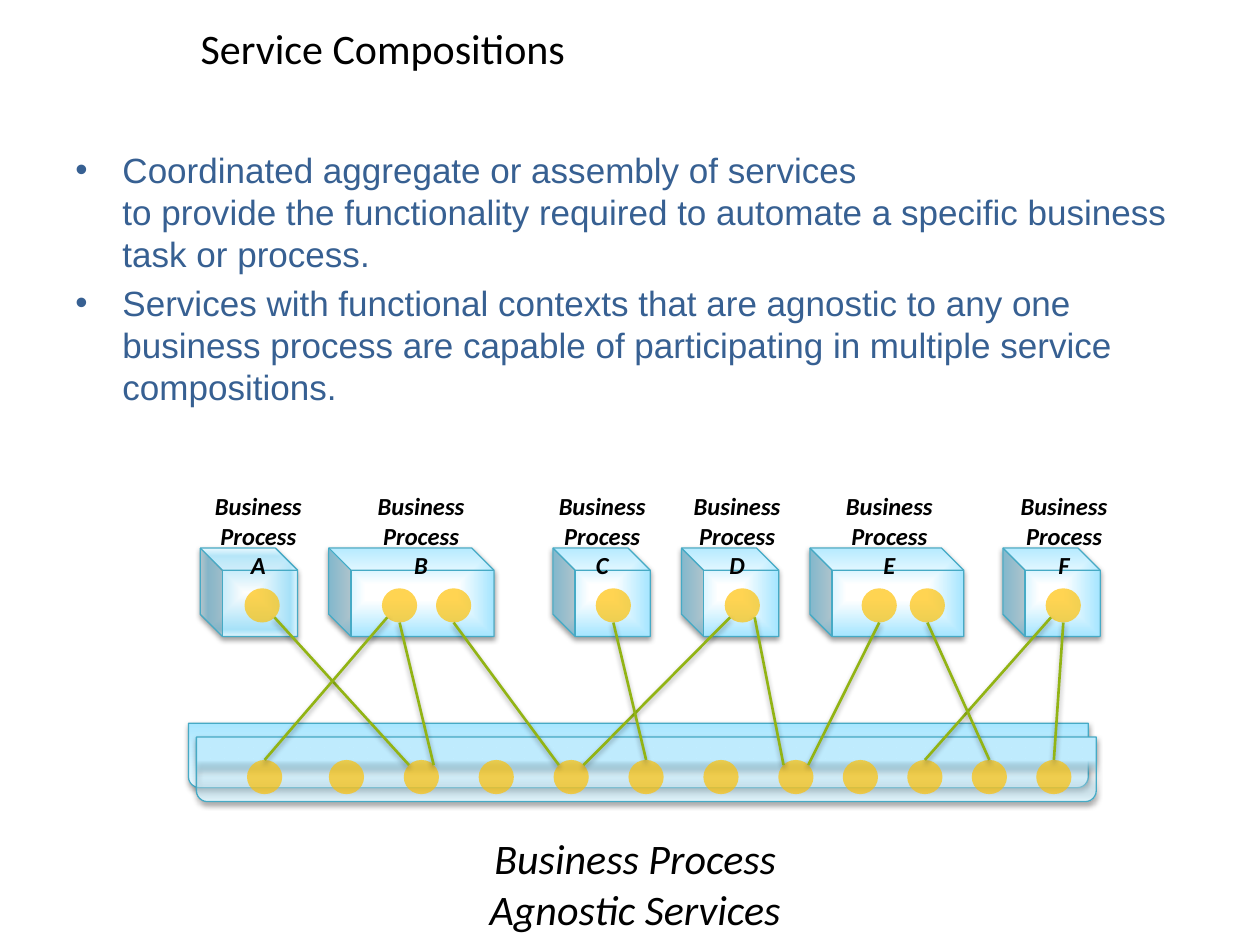
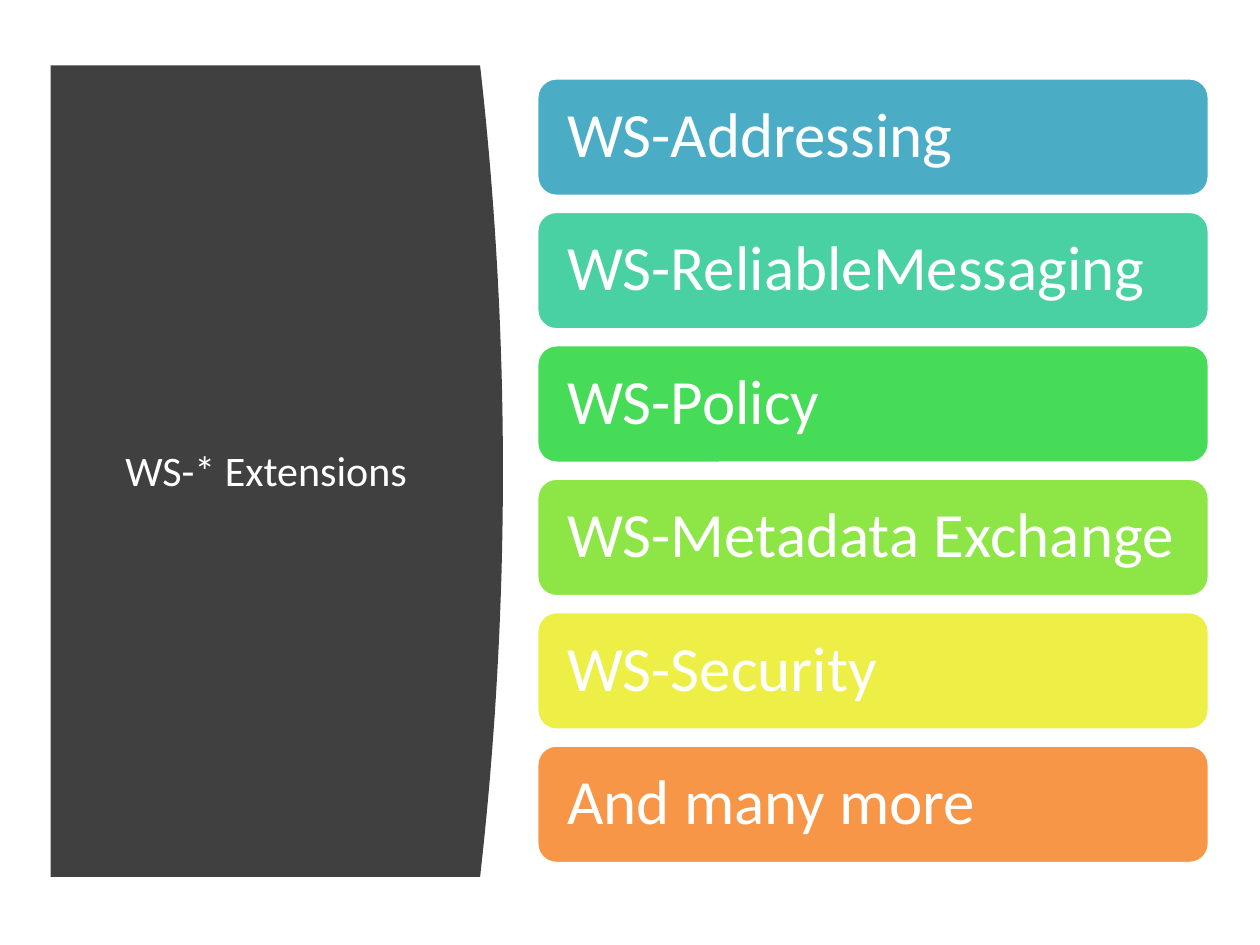
from lxml import etree
from pptx import Presentation
from pptx.dml.color import RGBColor
from pptx.enum.shapes import MSO_CONNECTOR, MSO_SHAPE
from pptx.enum.text import MSO_ANCHOR, PP_ALIGN
from pptx.oxml.ns import qn
from pptx.util import Cm, Pt

CUBE = MSO_SHAPE.CUBE
OVAL = MSO_SHAPE.OVAL
BAND = MSO_SHAPE.ROUND_2_SAME_RECTANGLE
CARD = MSO_SHAPE.ROUNDED_RECTANGLE
STRAIGHT = MSO_CONNECTOR.STRAIGHT
CENTER, LEFT = PP_ALIGN.CENTER, PP_ALIGN.LEFT
TOP, MIDDLE = MSO_ANCHOR.TOP, MSO_ANCHOR.MIDDLE

BLACK, WHITE, NAVY, DARK = "000000", "FFFFFF", "376092", "404040"
EDGE, GOLD, GREEN = "46AAC5", "FFC000", "92B414"

# Gradient stops: position %, colour, opacity %
CUBE_STOPS = [(17, WHITE, 100), (98, "A7E6FF", 100), (100, "E7F8FF", 100)]
CUBE_A_STOPS = [(0, WHITE, 100), (83, "A7E6FF", 94), (100, "E7F8FF", 100)]
BACK_STOPS = [(0, "A7E6FF", 100), (35, "C1EDFF", 100), (100, "E7F8FF", 100)]
FRONT_STOPS = [(35, "C1EDFF", 100), (56, "A7E6FF", 0), (100, "E7F8FF", 100)]

BULLETS = [
    "Coordinated aggregate or assembly of services\nto provide the functionality "
    "required to automate a specific business task or process.",
    "Services with functional contexts that are agnostic to any one business "
    "process are capable of participating in multiple service compositions.",
]

# Name, cube left, cube width, label centre, lefts of its dots
PROCESSES = [
    ("A", 0.24, 1.96, 1.41, [1.13]),
    ("B", 2.83, 3.33, 4.69, [3.9, 4.99]),
    ("C", 7.35, 1.96, 8.34, [8.21]),
    ("D", 9.94, 1.96, 11.06, [10.81]),
    ("E", 12.53, 3.1, 14.13, [13.57, 14.54]),
    ("F", 16.42, 1.96, 17.65, [17.28]),
]
SERVICE_LEFTS = ([1.18] + [2.83 + 1.51 * i for i in range(7)]
                 + [13.19 + 1.3 * i for i in range(4)])
DOT_W, DOT_H = 0.71, 0.69
PROCESS_DOT_TOP, SERVICE_DOT_TOP = 2.08, 5.54

# Process dot, side of it, service dot, side of it
LINKS = [
    ("A0", "right", 2, "left"), ("B0", "mid", 2, "right"),
    ("E0", "mid", 7, "right"), ("B1", "mid", 4, "left"),
    ("D0", "left", 4, "right"), ("D0", "right", 7, "left"),
    ("B0", "left", 0, "mid"), ("C0", "mid", 5, "mid"),
    ("F0", "mid", 11, "mid"), ("F0", "left", 9, "mid"),
    ("E1", "mid", 10, "mid"),
]
# Share of the dot's width, and depth of the point inside its top or bottom
SITES = {"left": (0.15, 0.15), "mid": (0.5, 0), "right": (0.85, 0.15)}

EXTENSIONS = [
    ("WS-Addressing", "4BACC6"), ("WS-ReliableMessaging", "49D1A3"),
    ("WS-Policy", "47DC57"), ("WS-Metadata Exchange", "8DE646"),
    ("WS-Security", "EEEF46"), ("And many more", "F79646"),
]


def rgb(value):
    return RGBColor.from_string(value)


def child(parent, tag, **attrs):
    return etree.SubElement(parent, qn(tag), {k: str(v) for k, v in attrs.items()})


def add_color(parent, color, opacity=100):
    node = child(parent, "a:srgbClr", val=color)
    if opacity < 100:
        child(node, "a:alpha", val=opacity * 1000)


def add_shadow(s, opacity):
    effects = child(s.element.spPr, "a:effectLst")
    shadow = child(effects, "a:outerShdw", blurRad=40000, dist=20000,
                   dir=5400000, rotWithShape=0)
    add_color(shadow, BLACK, opacity)


def add_box(slide, kind, left, top, width, height, fill=None, line=None, weight=0.75):
    s = slide.shapes.add_shape(kind, Cm(left), Cm(top), Cm(width), Cm(height))
    if fill:
        s.fill.solid()
        s.fill.fore_color.rgb = rgb(fill)
    if line:
        s.line.color.rgb = rgb(line)
        s.line.width = Pt(weight)
    else:
        s.line.fill.background()
    return s


def fill_gradient(s, stops, from_center=False):
    grad = etree.Element(qn("a:gradFill"), rotWithShape="1")
    stop_list = child(grad, "a:gsLst")
    for pos, color, opacity in stops:
        add_color(child(stop_list, "a:gs", pos=pos * 1000), color, opacity)
    if from_center:
        path = child(grad, "a:path", path="shape")
        child(path, "a:fillToRect", l=50000, t=50000, r=50000, b=50000)
    else:
        child(grad, "a:lin", ang=5400000, scaled=0)
    s.element.spPr.find(qn("a:prstGeom")).addnext(grad)


def write(tf, lines, size, color, font="Calibri", align=CENTER, anchor=TOP,
          bold=False, italic=False):
    tf.word_wrap = True
    tf.vertical_anchor = anchor
    for i, line in enumerate(lines):
        p = tf.add_paragraph() if i else tf.paragraphs[0]
        p.text = line
        p.alignment = align
        for r in p.runs:
            r.font.name, r.font.size = font, Pt(size)
            r.font.bold, r.font.italic = bold, italic
            r.font.color.rgb = rgb(color)


def add_text(slide, left, top, width, height, lines, size, color, **style):
    s = slide.shapes.add_textbox(Cm(left), Cm(top), Cm(width), Cm(height))
    write(s.text_frame, lines, size, color, **style)
    return s.text_frame


def add_title(slide, left, top, width, height, text, color):
    add_text(slide, left, top, width, height, [text], 24, color, anchor=MIDDLE)


def add_bullets(slide, left, top, width, height):
    tf = add_text(slide, left, top, width, height, BULLETS, 20, NAVY,
                  font="Arial", align=LEFT)
    for p in tf.paragraphs:
        p.space_before = Pt(4)
        ppr = p._p.get_or_add_pPr()
        ppr.set("marL", str(Cm(0.95)))
        ppr.set("indent", str(-Cm(0.95)))
        child(ppr, "a:buFont", typeface="Arial")
        child(ppr, "a:buChar", char="•")


def add_dot(slide, left, top):
    s = add_box(slide, OVAL, left, top, DOT_W, DOT_H, GOLD)
    color = s.element.spPr.find(qn("a:solidFill")).find(qn("a:srgbClr"))
    child(color, "a:alpha", val=68000)
    s.shadow.inherit = False


def add_link(slide, x1, y1, x2, y2):
    c = slide.shapes.add_connector(STRAIGHT, Cm(x1), Cm(y1), Cm(x2), Cm(y2))
    c.line.color.rgb = rgb(GREEN)
    c.line.width = Pt(1.5)
    add_shadow(c, 35)


def add_composition(slide, left, top):
    # Service layer bands
    for dx, dy, stops in [(0, 4.8, BACK_STOPS), (0.16, 5.08, FRONT_STOPS)]:
        s = add_box(slide, BAND, left + dx, top + dy, 18.14, 1.3, line=EDGE)
        s.adjustments[0], s.adjustments[1] = 0, 0.17
        fill_gradient(s, stops)
        add_shadow(s, 38)

    # Process cubes with their dots
    process_lefts = {}
    for name, dx, width, _, dots in PROCESSES:
        s = add_box(slide, CUBE, left + dx, top + 1.27, width, 1.78, line=EDGE)
        s.element.spPr.find(qn("a:xfrm")).set("flipH", "1")
        fill_gradient(s, CUBE_A_STOPS if name == "A" else CUBE_STOPS, True)
        add_shadow(s, 38)
        for i, dot in enumerate(dots):
            process_lefts[f"{name}{i}"] = dot
            add_dot(slide, left + dot, top + PROCESS_DOT_TOP)

    # Service dots
    for dx in SERVICE_LEFTS:
        add_dot(slide, left + dx, top + SERVICE_DOT_TOP)

    # Links from process dots to service dots
    for process, start, service, end in LINKS:
        (fx1, depth1), (fx2, depth2) = SITES[start], SITES[end]
        add_link(slide,
                 left + process_lefts[process] + fx1 * DOT_W,
                 top + PROCESS_DOT_TOP + (1 - depth1) * DOT_H,
                 left + SERVICE_LEFTS[service] + fx2 * DOT_W,
                 top + SERVICE_DOT_TOP + depth2 * DOT_H)

    # Labels
    for name, _, _, center, _ in PROCESSES:
        add_text(slide, left + center - 1.25, top, 2.5, 2.06,
                 ["Business", "Process", name], 14, BLACK, bold=True, italic=True)
    add_text(slide, left + 4.99, top + 6.88, 8.03, 0.66,
             ["Business Process Agnostic Services"], 24, BLACK, italic=True)


def add_curved_panel(slide, left, top, width, height, bulge=0.46, steps=40):
    # The right edge is a parabola that bulges outwards at mid height
    points = [(left, top)]
    for i in range(steps + 1):
        t = i / steps
        x = left + width - bulge * (2 * t - 1) ** 2
        points.append((x, top + t * height))
    points.append((left, top + height))
    points = [(Cm(x), Cm(y)) for x, y in points]
    builder = slide.shapes.build_freeform(*points[0])
    builder.add_line_segments(points[1:], close=True)
    s = builder.convert_to_shape()
    s.fill.solid()
    s.fill.fore_color.rgb = rgb(DARK)
    s.line.fill.background()
    s.shadow.inherit = False
    add_title(slide, left + 0.79, top + 1.5, 7.11, 13.31, "WS-* Extensions", WHITE)


def add_cards(slide, left, top, width, pitch, height):
    for i, (name, color) in enumerate(EXTENSIONS):
        s = add_box(slide, CARD, left, top + i * pitch, width, height, color, WHITE, 2)
        s.shadow.inherit = False
        tf = s.text_frame
        tf.margin_left = tf.margin_right = Cm(0.5)
        write(tf, [name], 36, WHITE, align=LEFT, anchor=MIDDLE)
        tf.paragraphs[0].line_spacing = 0.9


def build_compositions(slide):
    add_title(slide, 1.27, 0.43, 12.9, 1.07, "Service Compositions", BLACK)
    add_bullets(slide, 1.27, 2.87, 22.86, 12.57)
    add_composition(slide, 3.8, 9.78)


def build_extensions(slide):
    add_curved_panel(slide, 1.02, 1.32, 9.12, 16.36)
    add_cards(slide, 10.82, 1.57, 13.56, 2.69, 2.39)


def main():
    prs = Presentation()
    prs.slide_width, prs.slide_height = Cm(25.4), Cm(19.05)
    for build in (build_compositions, build_extensions):
        build(prs.slides.add_slide(prs.slide_layouts[6]))
    prs.save("out.pptx")


if __name__ == "__main__":
    main()
